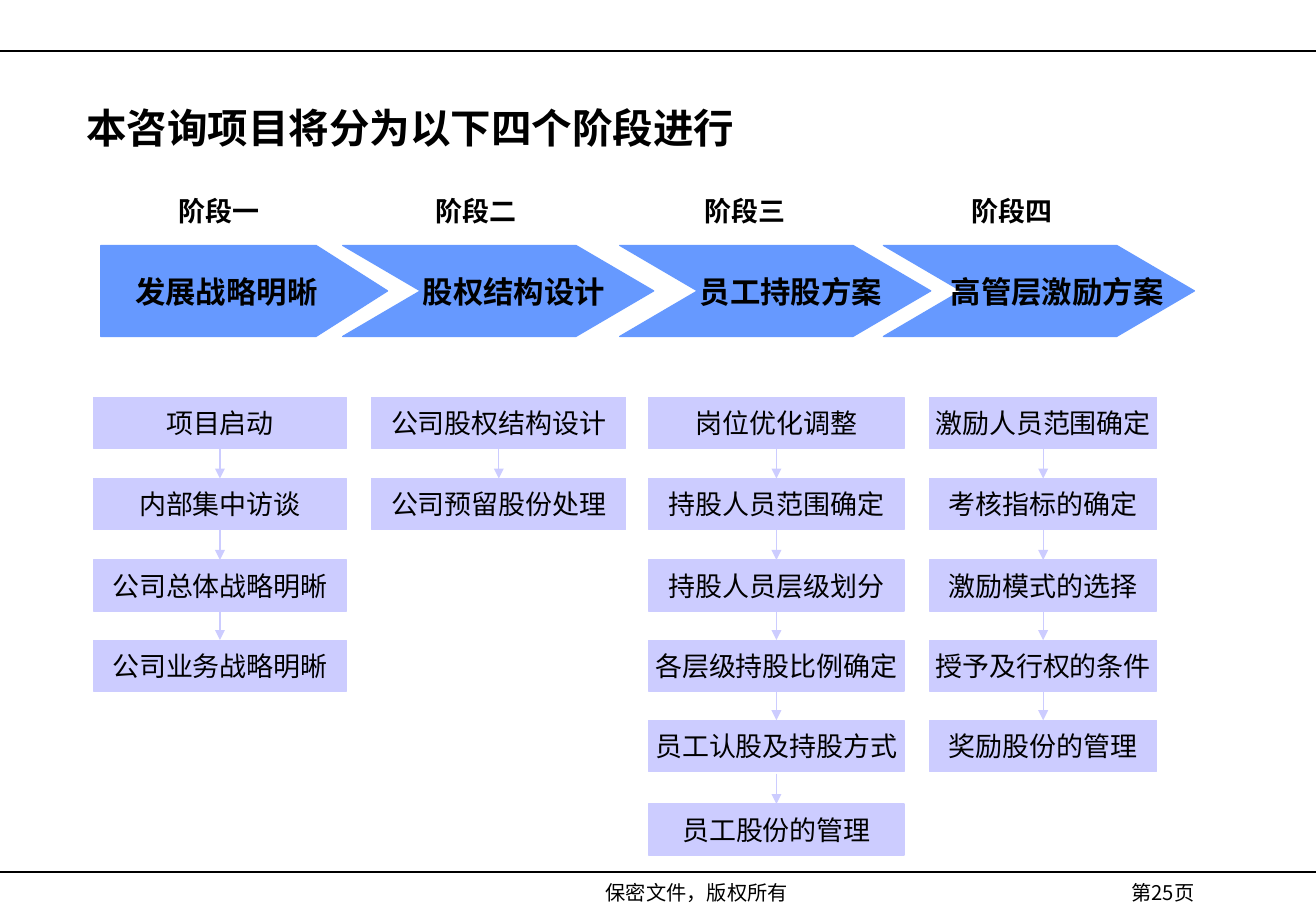
"""Build the slide that shows the four stages of the consulting project."""
from dataclasses import dataclass

from lxml import etree
from pptx import Presentation
from pptx.dml.color import RGBColor
from pptx.enum.shapes import MSO_CONNECTOR, MSO_SHAPE
from pptx.enum.text import MSO_ANCHOR, MSO_AUTO_SIZE, PP_ALIGN
from pptx.oxml.ns import qn
from pptx.util import Emu, Pt

STRAIGHT = MSO_CONNECTOR.STRAIGHT
RECT, PENTAGON, CHEVRON = MSO_SHAPE.RECTANGLE, MSO_SHAPE.PENTAGON, MSO_SHAPE.CHEVRON
MIDDLE, TOP = MSO_ANCHOR.MIDDLE, MSO_ANCHOR.TOP
NO_FIT, GROW = MSO_AUTO_SIZE.NONE, MSO_AUTO_SIZE.SHAPE_TO_FIT_TEXT
LEFT, CENTER = PP_ALIGN.LEFT, PP_ALIGN.CENTER

EMU_PER_PX = 9144
SLIDE_W, SLIDE_H = 1083, 750
SANS, SERIF = "Noto Sans CJK SC", "Times New Roman"
COLORS = {"text": "000000", "rule": "000000", "stage": "6699FF", "step": "CCCCFF"}

STAGE_TOP, STAGE_H = 202, 75
LABEL_TOP, LABEL_W, LABEL_H = 155, 142, 37
STEP_TOPS = (327, 394, 461, 527, 593, 662)
STEP_H, ARROW_H = 42, 25


@dataclass(frozen=True)
class Step:
    """One box in a column of steps."""
    text: str
    font: str = SANS


@dataclass(frozen=True)
class Stage:
    """One stage: its label, its arrow shape and its column of steps."""
    label: str
    label_x: int
    name: str
    font: str
    shape: MSO_SHAPE
    x: int
    w: int
    point: float
    insets: tuple[int, int]
    step_x: int
    step_w: int
    steps: tuple[Step, ...]


@dataclass(frozen=True)
class Footer:
    """One line of text below the bottom rule."""
    text: str
    font: str
    x: int
    w: int


STAGES = (
    Stage("阶段一", 109, "发展战略明晰", SERIF, PENTAGON, 83, 236, 0.785, (10, 10), 77, 208,
          (Step("项目启动"), Step("内部集中访谈"), Step("公司总体战略明晰"),
           Step("公司业务战略明晰"))),
    Stage("阶段二", 321, "股权结构设计", SANS, CHEVRON, 282, 256, 0.854, (26, 0), 306, 209,
          (Step("公司股权结构设计"), Step("公司预留股份处理"))),
    Stage("阶段三", 542, "员工持股方案", SANS, CHEVRON, 510, 256, 0.854, (26, 0), 534, 210,
          (Step("岗位优化调整"), Step("持股人员范围确定", SERIF),
           Step("持股人员层级划分", SERIF), Step("各层级持股比例确定", SERIF),
           Step("员工认股及持股方式", SERIF), Step("员工股份的管理"))),
    Stage("阶段四", 762, "高管层激励方案", SANS, CHEVRON, 727, 256, 0.854, (30, 0), 765, 187,
          (Step("激励人员范围确定"), Step("考核指标的确定"), Step("激励模式的选择", SERIF),
           Step("授予及行权的条件", SERIF), Step("奖励股份的管理", SERIF))),
)
FOOTERS = (Footer("保密文件，版权所有", SERIF, 280, 587), Footer("第25页", SANS, 876, 162))


def px(n: float) -> Emu:
    """Turn px into EMU."""
    return Emu(round(n * EMU_PER_PX))


def rgb(key: str) -> RGBColor:
    """Look up a colour by its role."""
    return RGBColor.from_string(COLORS[key])


def set_all(target, values: dict) -> None:
    """Set each attribute of the target from a dict."""
    for name, value in values.items():
        setattr(target, name, value)


def write(sp, text: str, font: str, size: int, bold: bool = False,
          align: PP_ALIGN = CENTER, insets: tuple[int, int] = (10, 10), **frame) -> None:
    """Put one formatted line of text in a shape."""
    tf = sp.text_frame
    set_all(tf, {"margin_left": px(insets[0]), "margin_right": px(insets[1]),
                 "margin_top": px(5), "margin_bottom": px(5), **frame})
    p = tf.paragraphs[0]
    p.alignment = align
    r = p.add_run()
    r.text = text
    set_all(r.font, {"name": font, "size": Pt(size), "bold": bold})
    r.font.color.rgb = rgb("text")
    etree.SubElement(r.font._element, qn("a:ea"), typeface=SANS)


def add_text(s, x: int, y: int, w: int, h: int, text: str, font: str,
             size: int, bold: bool = False) -> None:
    """Add a centred text box."""
    sp = s.shapes.add_textbox(px(x), px(y), px(w), px(h))
    write(sp, text, font, size, bold, word_wrap=True, auto_size=GROW, vertical_anchor=TOP)


def add_block(s, kind: MSO_SHAPE, x: int, y: int, w: int, h: int, color: str):
    """Add a shape with fill and line of one colour."""
    sp = s.shapes.add_shape(kind, px(x), px(y), px(w), px(h))
    sp.shadow.inherit = False
    sp.fill.solid()
    sp.fill.fore_color.rgb = rgb(color)
    sp.line.color.rgb = rgb(color)
    sp.line.width = Pt(0.75)
    return sp


def add_line(s, x1: float, y1: int, x2: float, y2: int, color: str,
             arrow: bool = False) -> None:
    """Add a straight line, with an arrowhead at its end if asked."""
    cx = s.shapes.add_connector(STRAIGHT, px(x1), px(y1), px(x2), px(y2))
    cx.line.color.rgb = rgb(color)
    cx.line.width = Pt(0.75)
    if arrow:
        etree.SubElement(cx.line._get_or_add_ln(), qn("a:tailEnd"), type="triangle")
    etree.SubElement(cx._element.spPr, qn("a:effectLst"))


def add_stage(s, stage: Stage) -> None:
    """Draw a stage with its label and its steps."""
    add_text(s, stage.label_x, LABEL_TOP, LABEL_W, LABEL_H, stage.label, SERIF, 16, True)
    sp = add_block(s, stage.shape, stage.x, STAGE_TOP, stage.w, STAGE_H, "stage")
    sp.adjustments[0] = stage.point
    write(sp, stage.name, stage.font, 18, True, insets=stage.insets,
          word_wrap=False, vertical_anchor=MIDDLE)
    center = stage.step_x + stage.step_w / 2
    for i, (step, top) in enumerate(zip(stage.steps, STEP_TOPS)):
        sp = add_block(s, RECT, stage.step_x, top, stage.step_w, STEP_H, "step")
        write(sp, step.text, step.font, 16, word_wrap=False, vertical_anchor=MIDDLE)
        if i:
            add_line(s, center, top - ARROW_H, center, top, "step", arrow=True)


def main() -> None:
    """Build and save the presentation."""
    prs = Presentation()
    set_all(prs, {"slide_width": px(SLIDE_W), "slide_height": px(SLIDE_H)})
    s = prs.slides.add_slide(prs.slide_layouts[5])
    title = s.shapes.title
    set_all(title, {"left": px(61), "top": px(63), "width": px(921), "height": px(83)})
    write(title, "本咨询项目将分为以下四个阶段进行", SERIF, 24, True, LEFT,
          word_wrap=True, auto_size=NO_FIT, vertical_anchor=MIDDLE)
    for y in (42, 718):
        add_line(s, 0, y, SLIDE_W, y, "rule")
    for footer in FOOTERS:
        add_text(s, footer.x, 720, footer.w, 30, footer.text, footer.font, 12)
    for stage in STAGES:
        add_stage(s, stage)
    prs.save("out.pptx")


if __name__ == "__main__":
    main()
